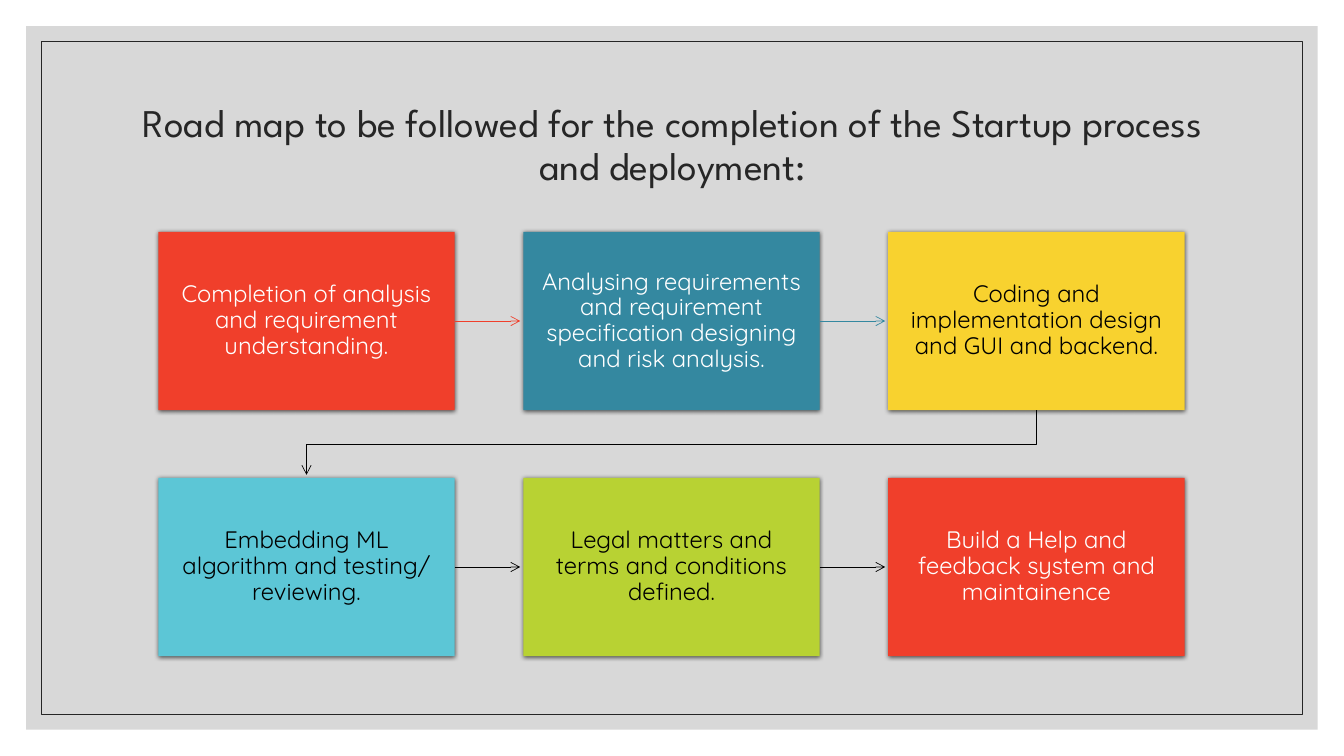
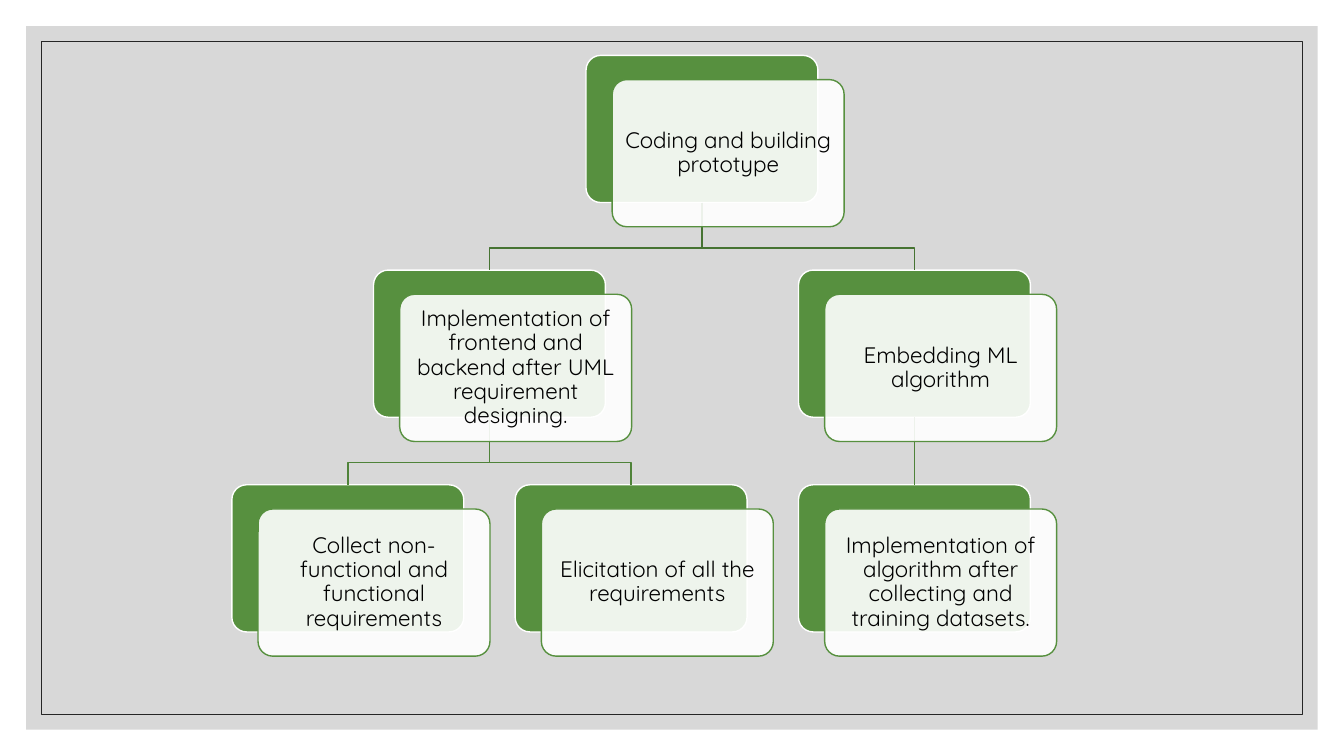
from lxml import etree
from pptx import Presentation
from pptx.dml.color import RGBColor
from pptx.enum import shapes, text
from pptx.oxml import ns
from pptx.util import Inches, Pt


def style(s, fill=None, line=None, width=0.5, alpha=100, arrow=False, shadow=False):
    if hasattr(s, "fill"):
        if fill:
            s.fill.solid()
            s.fill.fore_color.rgb = RGBColor.from_string(fill)
            color = s.fill._xPr.find(ns.qn("a:solidFill"))[0]
            etree.SubElement(color, ns.qn("a:alpha"), val=str(alpha * 1000))
        else:
            s.fill.background()
    if line:
        s.line.color.rgb = RGBColor.from_string(line)
        s.line.width = Pt(width)
    else:
        s.line.fill.background()
    if arrow:
        etree.SubElement(s.line._get_or_add_ln(), ns.qn("a:tailEnd"), type="arrow")
    effects = etree.SubElement(s.element.spPr, ns.qn("a:effectLst"))
    if shadow:
        outer = etree.SubElement(effects, ns.qn("a:outerShdw"), blurRad=str(Pt(3)),
                                 dist=str(Pt(1)), dir="5400000", rotWithShape="0")
        black = etree.SubElement(outer, ns.qn("a:srgbClr"), val="000000")
        etree.SubElement(black, ns.qn("a:alpha"), val="63000")


def write(s, words, size=16, font="Quicksand", color="000000", inset=0.1):
    tf = s.text_frame
    tf.word_wrap = True
    tf.vertical_anchor = text.MSO_ANCHOR.MIDDLE
    tf.margin_left = tf.margin_right = tf.margin_top = tf.margin_bottom = Inches(inset)
    p = tf.paragraphs[0]
    p.alignment = text.PP_ALIGN.CENTER
    p.line_spacing = 0.9
    r = p.add_run()
    r.text = words
    r.font.size = Pt(size)
    r.font.name = font
    r.font.color.rgb = RGBColor.from_string(color)


RECT = shapes.MSO_SHAPE.RECTANGLE
ROUND = shapes.MSO_SHAPE.ROUNDED_RECTANGLE
STRAIGHT = shapes.MSO_CONNECTOR.STRAIGHT
GREEN, WHITE, BLACK, DARK, RED, BLUE = "57903F", "FFFFFF", "000000", "262626", "F03F2B", "3488A0"

prs = Presentation()
prs.slide_width, prs.slide_height = Inches(13.33), Inches(7.5)
roadmap = prs.slides.add_slide(prs.slide_layouts[5])
tree = prs.slides.add_slide(prs.slide_layouts[6])

frames = [(0.26, dict(fill="BFBFBF", alpha=60)), (0.41, dict(line=DARK))]
for i, (edge, look) in enumerate(frames):
    s = roadmap.shapes.add_shape(RECT, Inches(edge), Inches(edge),
                                 prs.slide_width - 2 * Inches(edge),
                                 prs.slide_height - 2 * Inches(edge))
    style(s, **look)
    prs.slide_master.shapes.element.insert(2 + i, s.element)

title = roadmap.shapes.title
title.left, title.top, title.width, title.height = Inches(1.17), Inches(0.7), Inches(11), Inches(1.5)
write(title, "Road map to be followed for the completion of the Startup process and deployment:",
      size=28, font="League Spartan", color=DARK)

steps = [
    ("Completion of analysis and requirement understanding.", RED, WHITE, RED),
    ("Analysing requirements and requirement specification designing and risk analysis.",
     BLUE, WHITE, BLUE),
    ("Coding and implementation design and GUI and backend.", "F8D22F", BLACK, BLACK),
    ("Embedding ML algorithm and testing/ reviewing.", "5CC6D6", BLACK, BLACK),
    ("Legal matters and terms and conditions defined.", "B8D233", BLACK, BLACK),
    ("Build a Help and feedback system and maintainence", RED, WHITE, None),
]
box_w, box_h, gap = Inches(2.94), Inches(1.77), Inches(0.68)
tip = Inches(0.03)
boxes = []
for i, (words, fill, color, _) in enumerate(steps):
    row, col = divmod(i, 3)
    s = roadmap.shapes.add_shape(RECT, Inches(1.57) + col * (box_w + gap),
                                 Inches(2.3) + row * Inches(2.44), box_w, box_h)
    style(s, fill=fill, shadow=True)
    write(s, words, size=17, color=color, inset=0.13)
    boxes.append(s)

for i, (a, b) in enumerate(zip(boxes, boxes[1:])):
    if a.top == b.top:
        y = a.top + box_h // 2
        s = roadmap.shapes.add_connector(STRAIGHT, a.left + box_w, y, b.left - tip, y)
        s.begin_connect(a, 3)
    else:
        start, end = a.left + box_w // 2, b.left + box_w // 2
        bottom = a.top + box_h
        bend = (bottom + b.top) // 2
        path = roadmap.shapes.build_freeform(start, bottom)
        path.add_line_segments([(start, bend), (end, bend), (end, b.top - tip)], close=False)
        s = path.convert_to_shape()
    style(s, line=steps[i][3], arrow=True)

nodes = [
    ("Coding and building prototype", 1.25, 0, None),
    ("Implementation of frontend and backend after UML requirement designing.", 0.5, 1, 0),
    ("Embedding ML algorithm", 2, 1, 0),
    ("Collect non- functional and functional requirements", 0, 2, 1),
    ("Elicitation of all the requirements", 1, 2, 1),
    ("Implementation of algorithm after collecting and training datasets.", 2, 2, 2),
]
card_w, card_h = Inches(2.3), Inches(1.46)
cards = []
for _, col, row, _ in nodes:
    s = tree.shapes.add_shape(ROUND, Inches(2.3 + 2.81 * col), Inches(0.55 + 2.13 * row),
                              card_w, card_h)
    s.adjustments[0] = 0.1
    style(s, fill=GREEN, line=WHITE, width=1)
    cards.append(s)

for card, (_, _, row, parent) in zip(cards, nodes):
    if parent is None:
        continue
    above = cards[parent]
    start, end = above.left + card_w // 2, card.left + card_w // 2
    bottom = above.top + card_h
    if start == end:
        s = tree.shapes.add_connector(STRAIGHT, start, bottom, end, card.top)
        s.begin_connect(above, 2)
        s.end_connect(card, 0)
    else:
        bend = card.top - Inches(0.22)
        path = tree.shapes.build_freeform(start, bottom)
        path.add_line_segments([(start, bend), (end, bend), (end, card.top)], close=False)
        s = path.convert_to_shape()
    style(s, line="467332" if row == 1 else "4F8339", width=1)

for card, (words, *_) in zip(cards, nodes):
    s = tree.shapes.add_shape(ROUND, card.left + Inches(0.26), card.top + Inches(0.24),
                              card_w, card_h)
    s.adjustments[0] = 0.1
    style(s, fill=WHITE, alpha=90, line=GREEN, width=1)
    write(s, words, inset=0.07)

prs.save("out.pptx")
